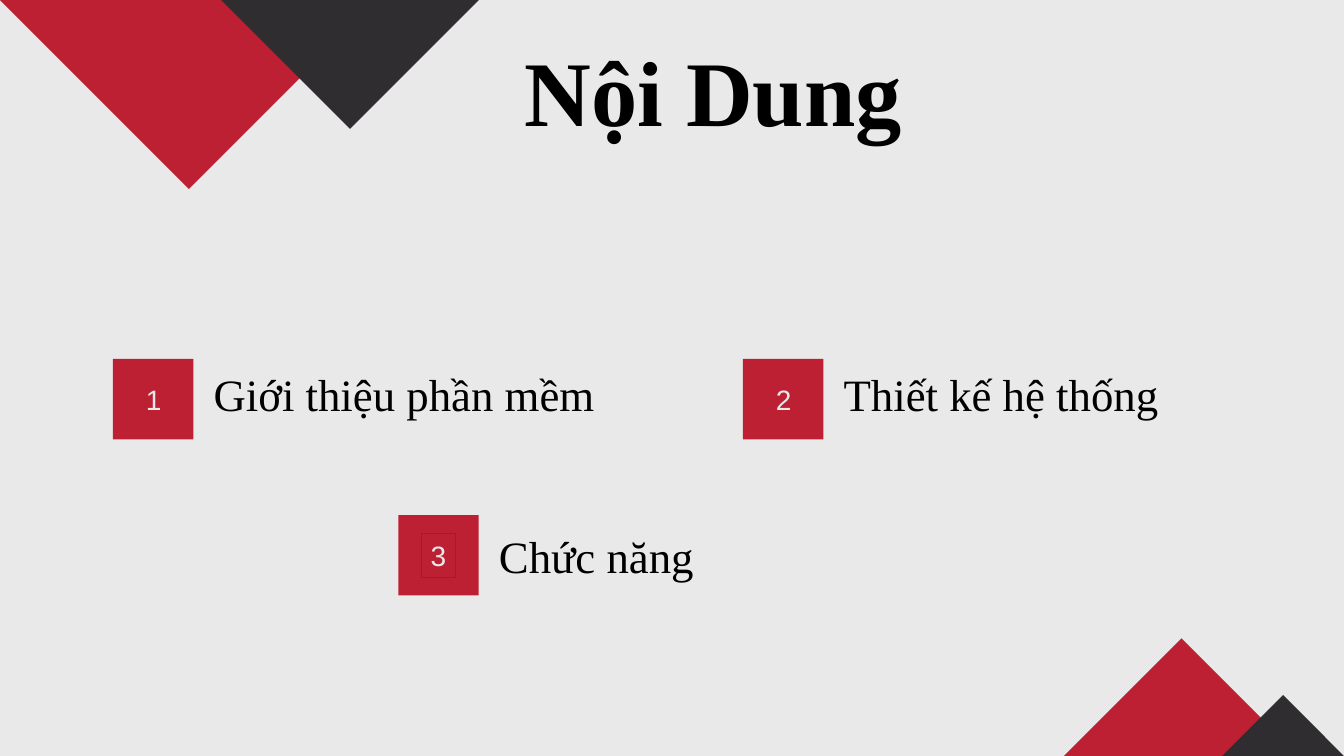
from pptx import Presentation
from pptx.dml.color import RGBColor
from pptx.enum.shapes import MSO_SHAPE as Preset
from pptx.enum.text import MSO_ANCHOR as Anchor, PP_ALIGN as Align
from pptx.util import Pt

WIDTH, HEIGHT = 960, 540
RED, DARK, LIGHT, BLACK, OUTLINE = "BE2033", "302D31", "E9E9E9", "000000", "E60000"
TITLE = {"name": "Times New Roman", "size": Pt(66), "bold": True}
LABEL = {"name": "Times New Roman", "size": Pt(32)}
NUMBER = {"name": "Arial", "size": Pt(20)}


def color(hex_string):
    return RGBColor.from_string(hex_string)


def paint(shape, fill):
    shape.shadow.inherit = False
    shape.fill.solid()
    shape.fill.fore_color.rgb = color(fill)
    shape.line.fill.background()


def write(shape, text, font, ink, align=Align.LEFT, wrap=True):
    frame = shape.text_frame
    frame.word_wrap = wrap
    frame.vertical_anchor = Anchor.TOP
    paragraph = frame.paragraphs[0]
    paragraph.text = text
    paragraph.alignment = align
    for name, value in font.items():
        setattr(paragraph.font, name, value)
    paragraph.font.color.rgb = color(ink)


def add_text(slide, box, *style, **layout):
    shape = slide.shapes.add_textbox(*map(Pt, box))
    write(shape, *style, **layout)


def add_corner(slide, base_y, direction, peaks):
    """Right-angled triangles on one slide edge, as (centre, height, fill)."""
    for centre, height, fill in peaks:
        builder = slide.shapes.build_freeform(
            Pt(centre - height), Pt(base_y), scale=1.0)
        builder.add_line_segments([
            (Pt(centre + height), Pt(base_y)),
            (Pt(centre), Pt(base_y + direction * height))])
        paint(builder.convert_to_shape(), fill)


def add_item(slide, left, top, number, label, label_width, label_drop, outlined):
    # Badge
    badge = slide.shapes.add_shape(
        Preset.RECTANGLE, Pt(left), Pt(top), Pt(57.4), Pt(57.4))
    paint(badge, RED)

    # Label
    add_text(slide, (left + 64.8, top + label_drop, label_width, 46),
             label, LABEL, BLACK)

    # Number
    box = (left + 16.5, top + 13, 24.5, 31.5)
    style = (number, NUMBER, LIGHT, Align.CENTER, False)
    if outlined:
        frame = slide.shapes.add_shape(Preset.RECTANGLE, *map(Pt, box))
        frame.shadow.inherit = False
        frame.fill.background()
        frame.line.color.rgb = color(OUTLINE)
        frame.line.width = Pt(1)
        write(frame, *style)
    else:
        add_text(slide, box, *style)


def build_contents(presentation):
    slide = presentation.slides.add_slide(presentation.slide_layouts[6])
    slide.background.fill.solid()
    slide.background.fill.fore_color.rgb = color(LIGHT)

    # Corner decoration
    add_corner(slide, 0, 1, [(135, 135, RED), (250, 92, DARK)])
    add_corner(slide, HEIGHT, -1, [(844, 84, RED), (916.5, 43.5, DARK)])

    # Title
    add_text(slide, (349, 21, 321, 87), "Nội Dung", TITLE, BLACK, align=Align.CENTER)

    # Contents
    add_item(slide, 80.7, 256.4, "1", "Giới thiệu phần mềm", 297, 2, False)
    add_item(slide, 530.7, 256.4, "2", "Thiết kế hệ thống", 312, 2, False)
    add_item(slide, 284.5, 367.9, "3", "Chức năng", 209, 6.5, True)


def main():
    presentation = Presentation()
    presentation.slide_width, presentation.slide_height = Pt(WIDTH), Pt(HEIGHT)
    build_contents(presentation)
    presentation.save("out.pptx")


if __name__ == "__main__":
    main()
